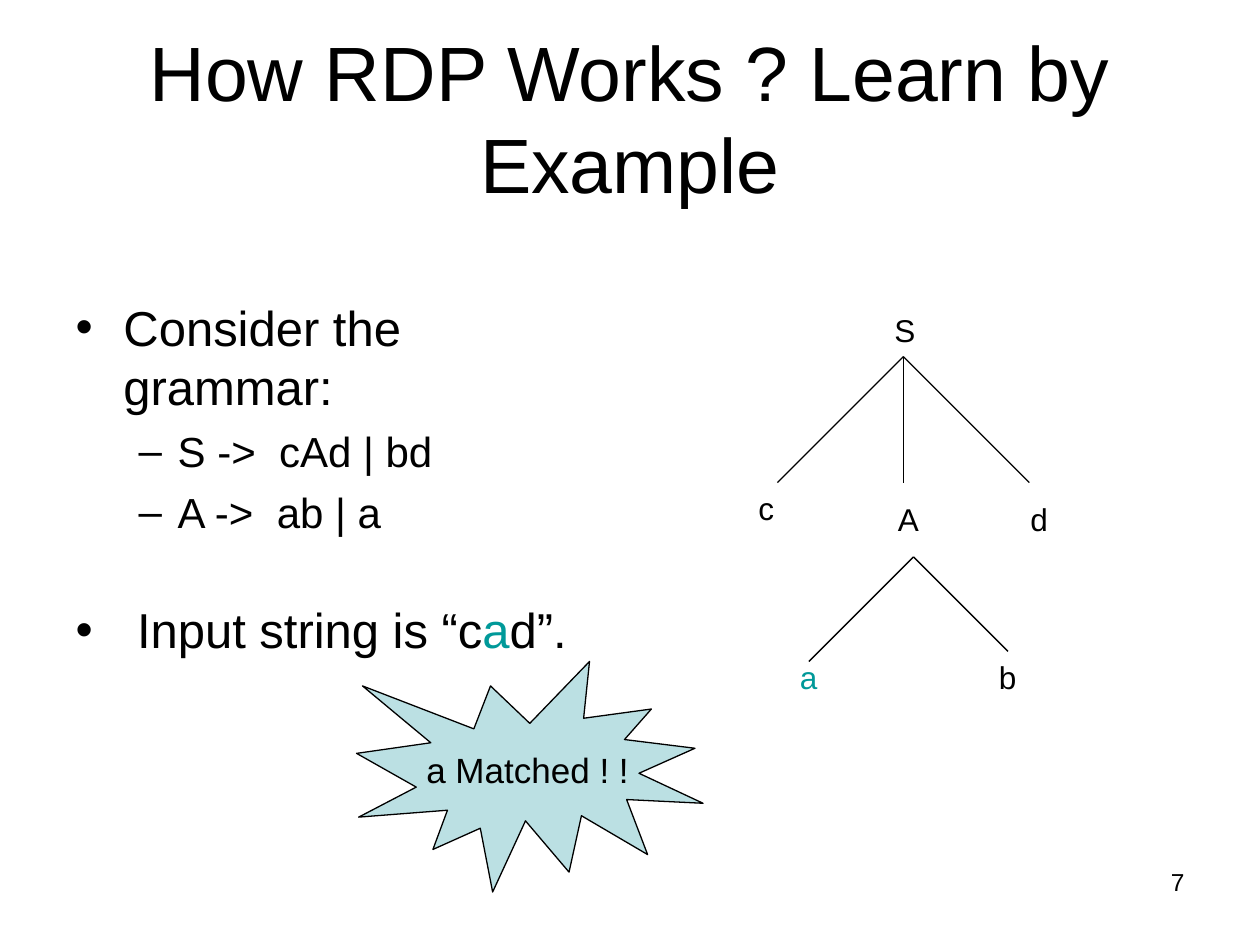
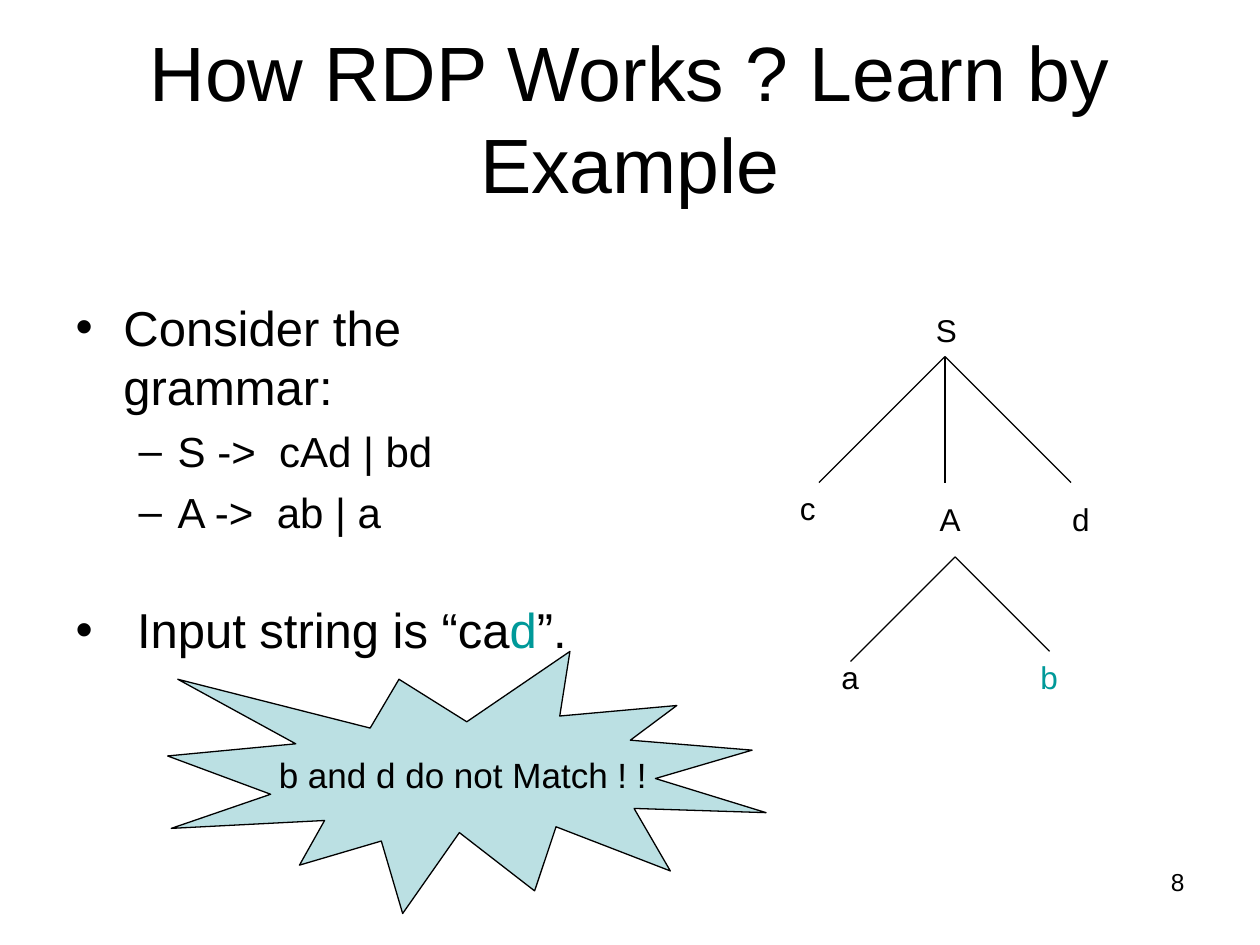
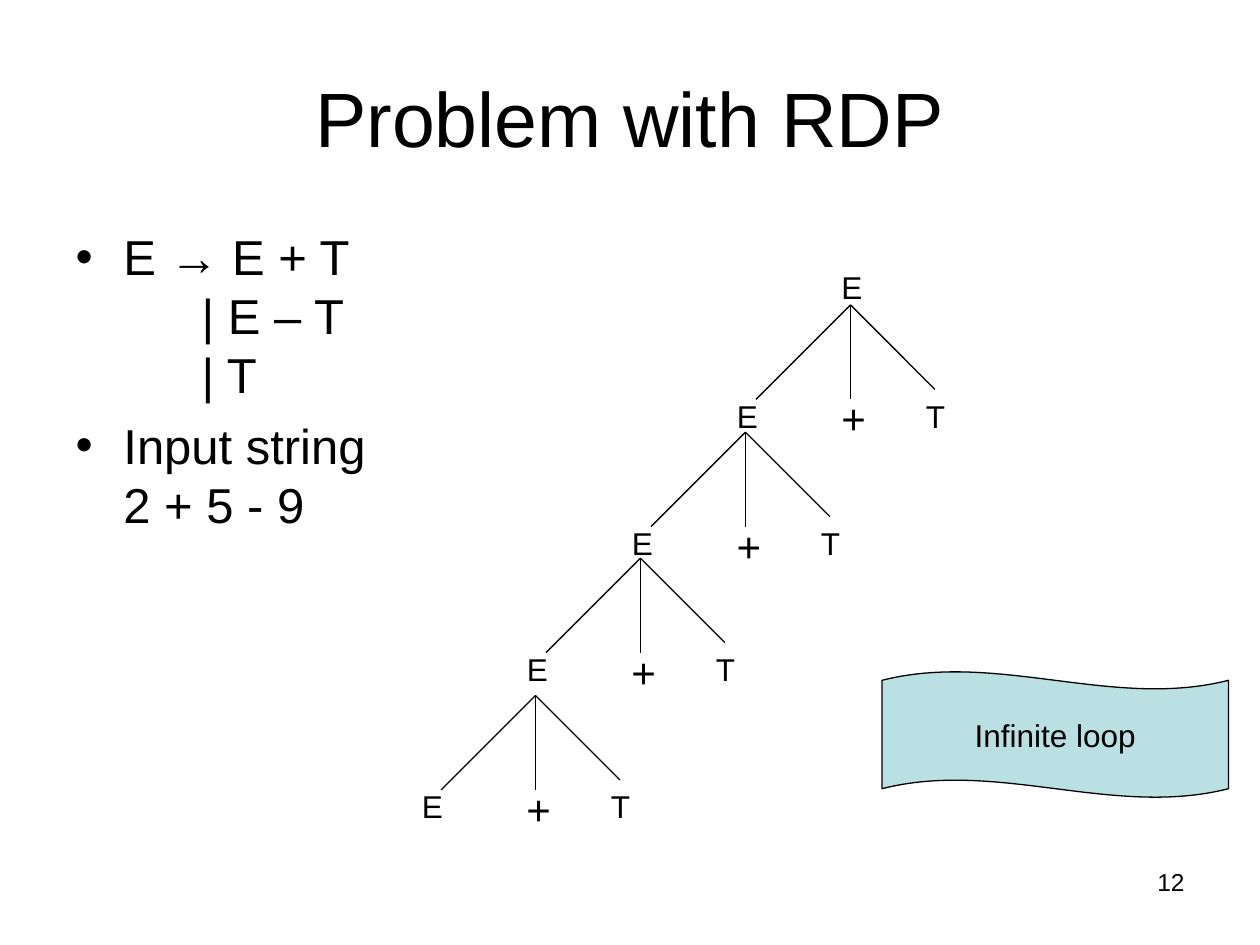
from lxml.etree import SubElement
from pptx import Presentation
from pptx.dml.color import RGBColor
from pptx.enum.shapes import MSO_CONNECTOR, MSO_SHAPE
from pptx.enum.text import MSO_ANCHOR, MSO_AUTO_SIZE, PP_ALIGN
from pptx.oxml.ns import qn
from pptx.util import Inches, Pt

BLACK, TEAL, PALE = "000000", "009999", "BBE0E3"
LEFT, MID, RIGHT = PP_ALIGN.LEFT, PP_ALIGN.CENTER, PP_ALIGN.RIGHT


def write(para, text, size=18, color=BLACK, align=LEFT):
    """Append text to a paragraph; each newline becomes a line break."""
    para.alignment = align
    for i, line in enumerate(text.split("\n")):
        if i:
            para.add_line_break()
        run = para.add_run()
        run.text = line
        run.font.name, run.font.size = "Arial", Pt(size)
        run.font.color.rgb = RGBColor.from_string(color)


def place(shape, x, y, w, h):
    shape.left, shape.top = Inches(x), Inches(y)
    shape.width, shape.height = Inches(w), Inches(h)


deck = Presentation()
deck.slide_width, deck.slide_height = Inches(10), Inches(7.5)

# Per slide: title, number, top of list, list items (level, space before, runs)
learn = "How RDP Works ? Learn by Example"
grammar = [
    (0, 0, [("Consider the grammar:", BLACK)]),
    (1, 6, [("S ->  cAd | bd", BLACK)]),
    (1, 6, [("A ->  ab | a", BLACK)]),
]
match = (0, 36, [(" Input string is “c", BLACK), ("a", TEAL), ("d”.", BLACK)])
clash = (0, 36, [(" Input string is “ca", BLACK), ("d", TEAL), ("”.", BLACK)])
loop = [
    (0, 0, [("E → E + T\n\t| E – T\n\t| T", BLACK)]),
    (0, 7, [("Input string \n2 + 5 - 9", BLACK)]),
]
pages = [
    (learn, "7", 2.31, grammar + [match]),
    (learn, "8", 2.31, grammar + [clash]),
    ("Problem with RDP", "12", 1.75, loop),
]

# Per slide: tree labels (text, x, y, width, size, colour, align) and edges
labels, edges = [], []
for dx, hot in ((0, "a"), (0.33, "b")):
    nodes = [("S", 7, 2.42, 1.33, LEFT), ("c", 5.92, 3.83, 0.42, LEFT),
             ("A", 6.92, 3.92, 0.58, MID), ("d", 8.08, 3.92, 0.42, LEFT),
             ("a", 6.25, 5.17, 0.42, LEFT), ("b", 7.83, 5.17, 0.5, LEFT)]
    labels.append([(t, x + dx, y, w, 18, TEAL if t == hot else BLACK, al)
                   for t, x, y, w, al in nodes])
    root, fork = 7.17 + dx, 7.25 + dx
    edges.append([(root, 2.83, root + step, 3.83) for step in (-1, 0, 1)]
                 + [(fork, 4.42, fork - 0.83, 5.25),
                    (fork, 4.42, fork + 0.75, 5.17)])

names, lines = [("E", 6.58, 2.08, 0.42, 18, BLACK, LEFT)], []
for i, y in enumerate((2.42, 3.43, 4.43, 5.52)):
    x = 6.75 - i * 2.5 / 3
    names += [("E", x - 1, y + 0.68, 0.33, 18, BLACK, LEFT),
              ("+", x - 0.17, y + 0.65, 0.42, 24, BLACK, LEFT),
              ("T", x + 0.5, y + 0.68, 0.33, 18, BLACK, LEFT)]
    lines += [(x, y, x - 0.75, y + 0.75), (x, y, x, y + 0.75),
              (x, y, x + 0.67, y + 0.67)]
labels.append(names)
edges.append(lines)

# Per slide: callout kind, place, text, size that stays inside the outline
notes = [
    (MSO_SHAPE.EXPLOSION1, (2.83, 5.25, 2.75, 1.83), "a Matched ! !", 20),
    (MSO_SHAPE.EXPLOSION1, (1.33, 5.17, 4.75, 2.08),
     "b and d do not Match ! !", 20),
    (MSO_SHAPE.WAVE, (7, 5.33, 2.75, 1), "Infinite loop", 18),
]

for page, tags, links, note in zip(pages, labels, edges, notes):
    head, number, top, items = page
    slide = deck.slides.add_slide(deck.slide_layouts[1])
    shapes = slide.shapes

    title, body = shapes.title, slide.placeholders[1]
    place(title, 0.5, 0.3, 9, 1.25)
    place(body, 0.5, top, 4.42, 6.7 - top)
    for holder in (title, body):
        holder.text_frame.auto_size = MSO_AUTO_SIZE.NONE
    title.text_frame.vertical_anchor = MSO_ANCHOR.MIDDLE
    para = title.text_frame.paragraphs[0]
    para.line_spacing = Pt(44 * 1.2)
    write(para, head, size=44, align=MID)

    for i, (level, before, runs) in enumerate(items):
        frame = body.text_frame
        para = frame.add_paragraph() if i else frame.paragraphs[0]
        size, margin, hang = ((28, 0.38, 0.38), (24, 0.81, 0.31))[level]
        props = para._p.get_or_add_pPr()
        props.set("marL", str(Inches(margin)))
        props.set("indent", str(-Inches(hang)))
        stops = SubElement(props, qn("a:tabLst"))
        SubElement(stops, qn("a:tab"), pos=str(Inches(1)), algn="l")
        para.level = level
        para.space_before = Pt(before)
        para.line_spacing = Pt(size * 1.2)
        for text, color in runs:
            write(para, text, size=size, color=color)

    for x1, y1, x2, y2 in links:
        edge = shapes.add_connector(MSO_CONNECTOR.STRAIGHT, Inches(x1),
                                    Inches(y1), Inches(x2), Inches(y2))
        edge.line.color.rgb = RGBColor.from_string(BLACK)
        edge.line.width = Pt(0.75)
        SubElement(edge._element.spPr, qn("a:effectLst"))

    tags = tags + [(number, 7.17, 6.83, 2.33, 14, BLACK, RIGHT)]
    for text, x, y, w, size, color, align in tags:
        box = shapes.add_textbox(Inches(x), Inches(y), Inches(w),
                                 Inches(0.1 + size / 60))
        box.text_frame.word_wrap = True
        write(box.text_frame.paragraphs[0], text, size=size, color=color,
              align=align)

    kind, spot, text, size = note
    call = shapes.add_shape(kind, *map(Inches, spot))
    if kind == MSO_SHAPE.WAVE:
        call.adjustments[0] = 0.07
    call.shadow.inherit = False
    call.fill.solid()
    call.fill.fore_color.rgb = RGBColor.from_string(PALE)
    call.line.color.rgb = RGBColor.from_string(BLACK)
    call.line.width = Pt(0.75)
    call.text_frame.word_wrap = False
    call.text_frame.vertical_anchor = MSO_ANCHOR.MIDDLE
    write(call.text_frame.paragraphs[0], text, size=size, align=MID)

deck.save("out.pptx")
